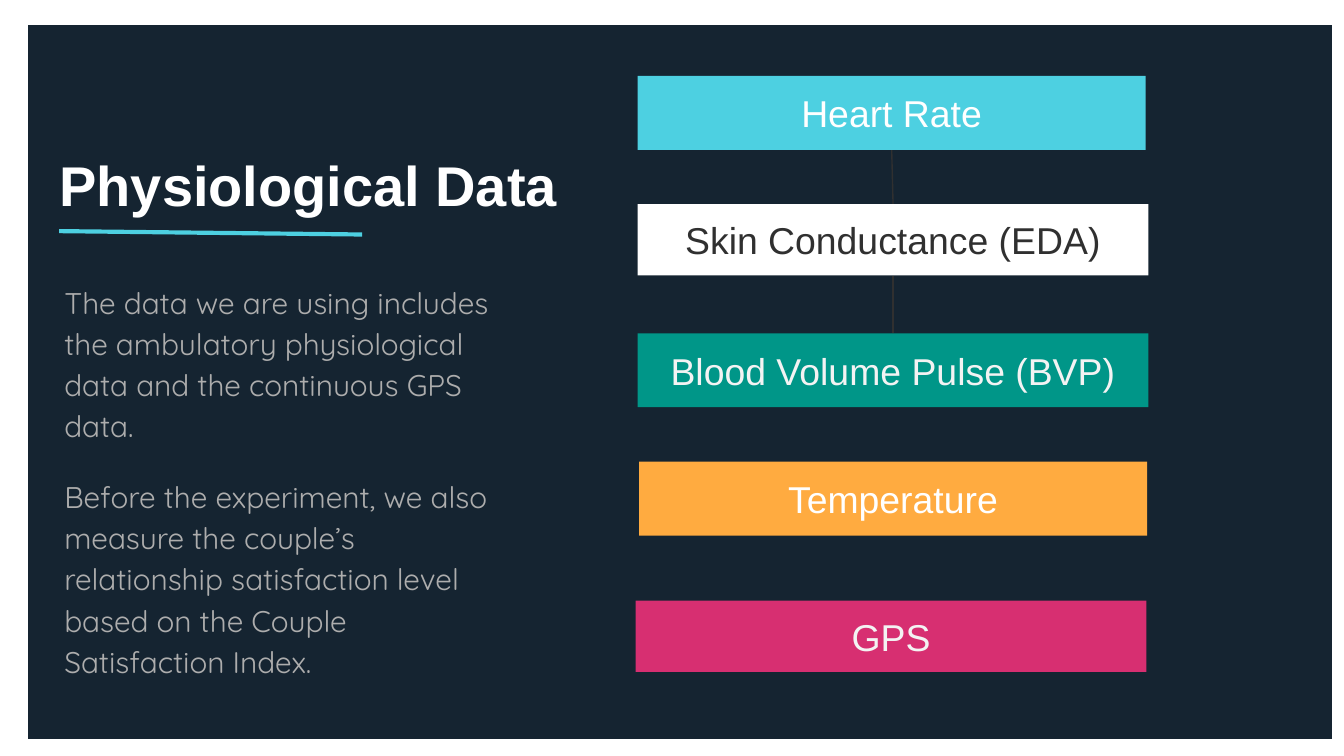
from dataclasses import dataclass

from lxml.etree import SubElement
from pptx import Presentation
from pptx.dml.color import RGBColor
from pptx.enum.shapes import MSO_CONNECTOR as Connector, MSO_SHAPE as Shape
from pptx.enum.text import MSO_ANCHOR as Anchor, PP_ALIGN as Align
from pptx.oxml.ns import qn
from pptx.util import Emu, Pt

SCALE = 4572


@dataclass(frozen=True)
class Theme:
    background: str = "212121"
    overlay: str = "0C273F"
    white: str = "FFFFFF"
    dark: str = "303030"
    pale: str = "F3F3F3"
    gray: str = "ADADAD"
    cyan: str = "4DD0E1"
    teal: str = "009688"
    orange: str = "FFAB40"
    pink: str = "E23075"
    heading_font: str = "Arial"
    body_font: str = "Quicksand"
    title_size: int = 30
    label_size: int = 20
    body_size: int = 16
    hairline: float = 0.75
    accent: float = 2.25
    frame: int = 18


THEME = Theme()


def px(length):
    return Emu(length * SCALE)


def rgb(color):
    return RGBColor.from_string(color)


def set_line(line, color, width):
    line.color.rgb = rgb(color)
    line.width = Pt(width)


def add_rectangle(page, bounds, fill=None, opacity=100, line=None, width=THEME.hairline):
    shape = page.shapes.add_shape(Shape.RECTANGLE, *map(px, bounds))
    shape.shadow.inherit = False
    if fill:
        shape.fill.solid()
        shape.fill.fore_color.rgb = rgb(fill)
        if opacity < 100:
            color = shape.element.spPr.find(f"{qn('a:solidFill')}/{qn('a:srgbClr')}")
            SubElement(color, qn("a:alpha"), val=str(opacity * 1000))
    else:
        shape.fill.background()
    if line:
        set_line(shape.line, line, width)
    else:
        shape.line.fill.background()
    return shape


def add_line(page, start, end, color, width):
    connector = page.shapes.add_connector(Connector.STRAIGHT, *map(px, start + end))
    set_line(connector.line, color, width)
    SubElement(connector.element.spPr, qn("a:effectLst"))


def write(shape, texts, font, size, color, anchor, align=Align.LEFT, bold=False):
    frame = shape.text_frame
    frame.word_wrap = True
    frame.vertical_anchor = anchor
    frame.margin_left = frame.margin_right = px(20)
    frame.margin_top = frame.margin_bottom = px(20)
    frame.text = "\n".join(texts)
    for para in frame.paragraphs:
        para.alignment = align
        for span in para.runs:
            span.font.name = font
            span.font.size = Pt(size)
            span.font.bold = bold
            span.font.color.rgb = rgb(color)
    return frame.paragraphs


def add_title(page, bounds, text):
    box = page.shapes.add_textbox(*map(px, bounds))
    write(box, [text], THEME.heading_font, THEME.title_size, THEME.white,
          Anchor.BOTTOM, bold=True)


def add_body(page, bounds, texts):
    box = page.shapes.add_textbox(*map(px, bounds))
    paras = write(box, texts, THEME.body_font, THEME.body_size, THEME.gray, Anchor.TOP)
    for para in paras:
        para.line_spacing = 1.15
    for para in paras[1:]:
        para.space_before = para.space_after = Pt(THEME.body_size)


def add_label(page, bounds, text, fill, color, opacity=100):
    shape = add_rectangle(page, bounds, fill, opacity)
    write(shape, [text], THEME.heading_font, THEME.label_size, color,
          Anchor.MIDDLE, Align.CENTER)


def main():
    deck = Presentation()
    deck.slide_width, deck.slide_height = px(2000), px(1125)
    page = deck.slides.add_slide(deck.slide_layouts[6])
    page.background.fill.solid()
    page.background.fill.fore_color.rgb = rgb(THEME.background)

    add_rectangle(page, (-6, 0, 2012, 1125), THEME.overlay, 54, THEME.dark)
    add_rectangle(page, (17, 12, 1990, 1113), line=THEME.white, width=THEME.frame)

    add_title(page, (69, 148, 834, 196), "Physiological Data")
    add_body(page, (76, 395, 710, 696), [
        "The data we are using includes the ambulatory physiological data "
        "and the continuous GPS data.",
        "Before the experiment, we also measure the couple’s relationship "
        "satisfaction level based on the Couple Satisfaction Index.",
    ])

    for start, end in [((1327, 223), (1329, 304)), ((1329, 410), (1329, 496))]:
        add_line(page, start, end, THEME.dark, THEME.hairline)

    labels = [
        ((949, 113, 756, 110), "Heart Rate", THEME.cyan, THEME.white),
        ((949, 304, 760, 106), "Skin Conductance (EDA)", THEME.white, THEME.dark),
        ((949, 496, 760, 110), "Blood Volume Pulse (BVP)", THEME.teal, THEME.pale),
        ((951, 687, 756, 110), "Temperature", THEME.orange, THEME.white),
        ((946, 894, 760, 106), "GPS", THEME.pink, THEME.pale, 95),
    ]
    for label in labels:
        add_label(page, *label)

    add_line(page, (88, 344), (539, 349), THEME.cyan, THEME.accent)
    deck.save("out.pptx")


if __name__ == "__main__":
    main()
